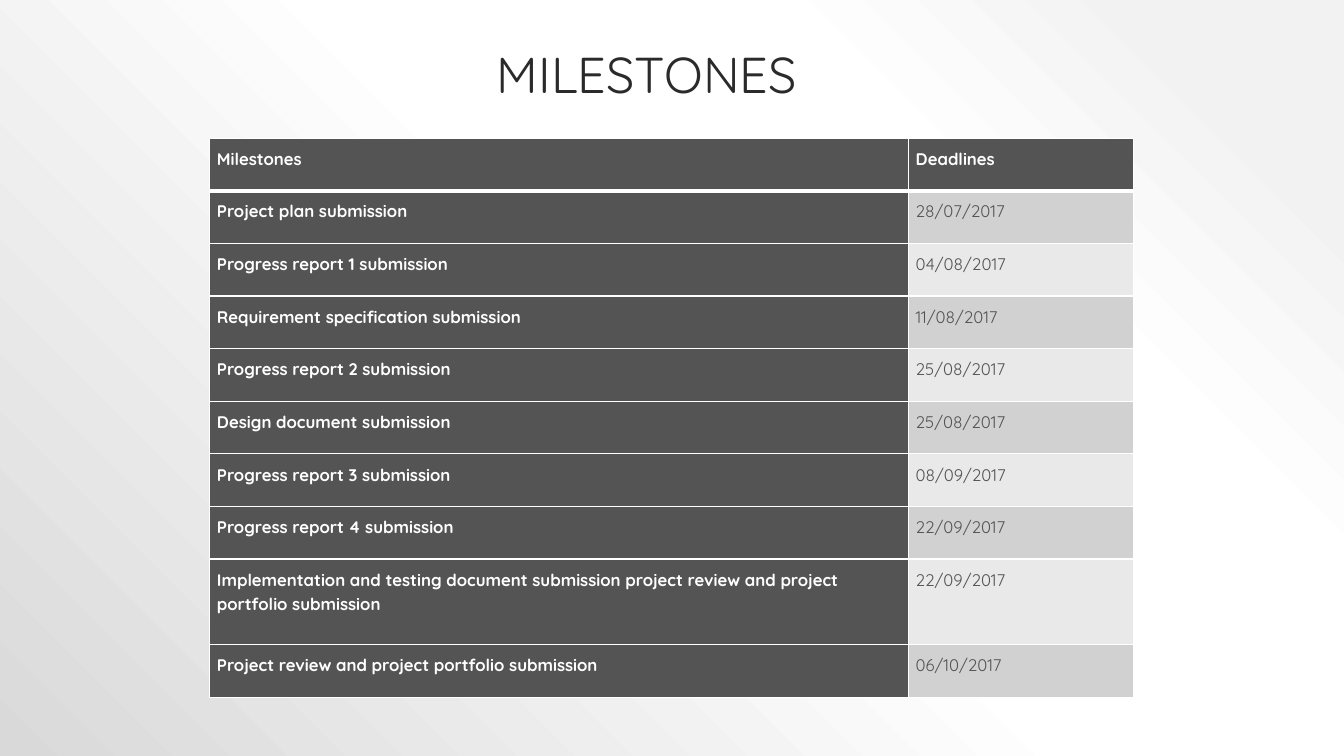
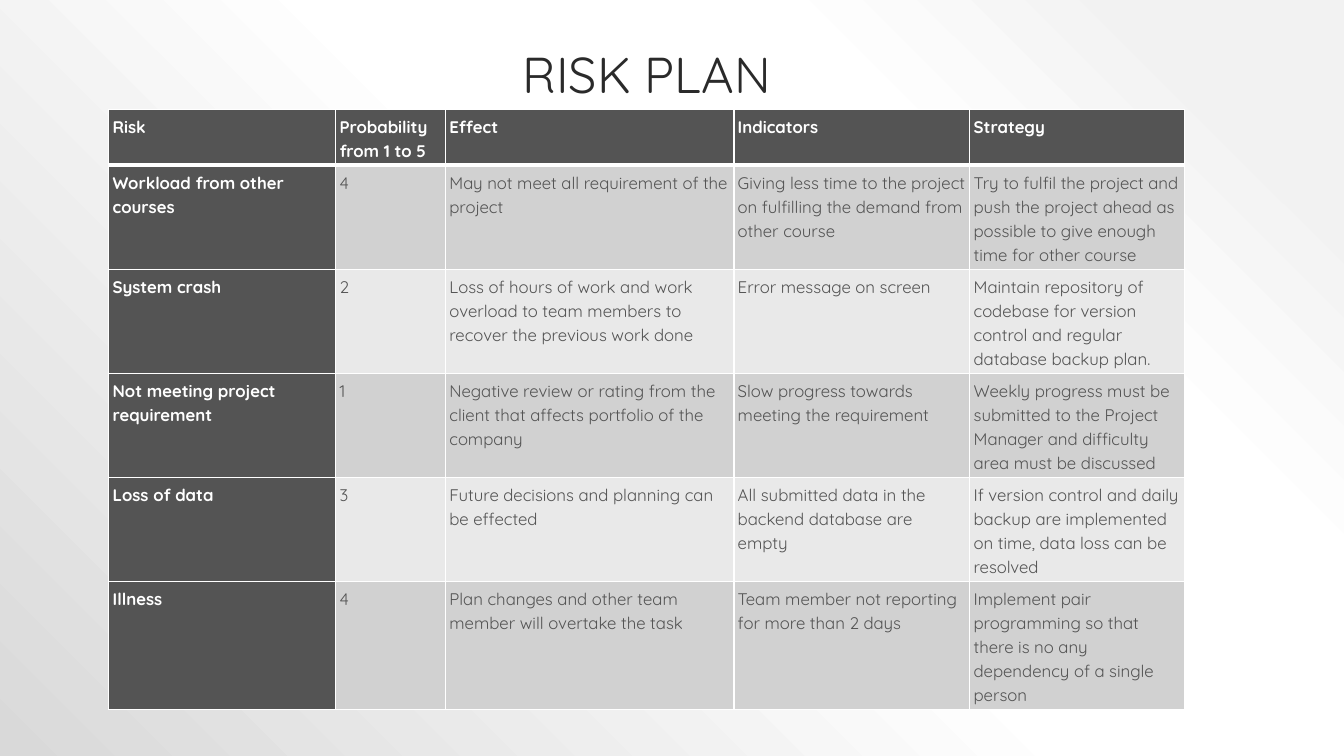
import pptx
import pptx.util
import pptx.dml.color
import pptx.enum.text
import pptx.oxml
import pptx.oxml.ns
from dataclasses import dataclass

Inches = pptx.util.Inches
Pt = pptx.util.Pt


@dataclass(frozen=True)
class Theme:
    font: str = "Quicksand"
    ink: str = "2A2A2A"
    dark: str = "545454"
    white: str = "FFFFFF"
    bands: tuple = ("D1D1D1", "E9E9E9")
    wash: tuple = ((10, "F2F2F2"), (28, "FFFFFF"), (48, "FFFFFF"), (100, "D9D9D9"))
    title: int = 36
    body: int = 12
    thin: int = 1
    thick: int = 3


THEME = Theme()
WIDE, HIGH = 13.33, 7.5
TITLE = (1.08, 0.26, 10.67, 0.83)

SLIDES = [
    {
        "title": "MILESTONES",
        "left": 2.08, "top": 1.37, "inset": 5.2,
        "cols": [6.93, 2.23],
        "rows": [(5.55 - 0.85) / 9] * 8 + [0.85, (5.55 - 0.85) / 9],
        "cells": [
            ("Milestones", "Deadlines"),
            ("Project plan submission", "28/07/2017"),
            ("Progress report 1 submission", "04/08/2017"),
            ("Requirement specification submission", "11/08/2017"),
            ("Progress report 2 submission", "25/08/2017"),
            ("Design document submission", "25/08/2017"),
            ("Progress report 3 submission", "08/09/2017"),
            ("Progress report 4 submission", "22/09/2017"),
            ("Implementation and testing document submission project review "
             "and project portfolio submission", "22/09/2017"),
            ("Project review and project portfolio submission", "06/10/2017"),
        ],
    },
    {
        "title": "RISK PLAN",
        "left": 1.08, "top": 1.09, "inset": 2.7,
        "cols": [2.25, 1.09, 2.86, 2.34, 2.13],
        "rows": [0.55] + [(5.95 - 0.55 - 1.27) / 4] * 4 + [1.27],
        "cells": [
            ("Risk", "Probability from 1 to 5", "Effect", "Indicators", "Strategy"),
            ("Workload from other courses", "4",
             "May not meet all requirement of the project",
             "Giving less time to the project on fulfilling the demand from other course",
             "Try to fulfil the project and push the project ahead as possible "
             "to give enough time for other course"),
            ("System crash", "2",
             "Loss of hours of work and work overload to team members "
             "to recover the previous work done",
             "Error message on screen",
             "Maintain repository of codebase for version control "
             "and regular database backup plan."),
            ("Not meeting project requirement", "1",
             "Negative review or rating from the client that affects portfolio of the company",
             "Slow progress towards meeting the requirement",
             "Weekly progress must be submitted to the Project Manager "
             "and difficulty area must be discussed"),
            ("Loss of data", "3",
             "Future decisions and planning can be effected",
             "All submitted data in the backend database are empty",
             "If version control and daily backup are implemented on time, "
             "data loss can be resolved"),
            ("Illness", "4",
             "Plan changes and other team member will overtake the task",
             "Team member not reporting for more than 2 days",
             "Implement pair programming so that there is no any dependency of a single person"),
        ],
    },
]


def rgb(code):
    return pptx.dml.color.RGBColor.from_string(code)


def paint(master):
    base = master.element.cSld
    for old in base.findall(pptx.oxml.ns.qn("p:bg")):
        base.remove(old)
    stops = "".join(
        f'<a:gs pos="{pos * 1000}"><a:srgbClr val="{code}"/></a:gs>'
        for pos, code in THEME.wash)
    base.insert(0, pptx.oxml.parse_xml(
        f'<p:bg {pptx.oxml.ns.nsdecls("p", "a")}><p:bgPr>'
        f'<a:gradFill rotWithShape="1"><a:gsLst>{stops}</a:gsLst>'
        '<a:path path="circle"><a:fillToRect l="100000" b="100000"/></a:path>'
        '</a:gradFill><a:effectLst/></p:bgPr></p:bg>'))


def write(frame, text, size, code, space, bold=False):
    para = frame.paragraphs[0]
    para.line_spacing = space
    run = para.add_run()
    run.text = text
    run.font.name = THEME.font
    run.font.size = Pt(size)
    run.font.bold = bold
    run.font.color.rgb = rgb(code)
    return para


def add_title(slide, text):
    frame = slide.shapes.add_textbox(*map(Inches, TITLE)).text_frame
    frame.word_wrap = True
    frame.vertical_anchor = pptx.enum.text.MSO_ANCHOR.BOTTOM
    para = write(frame, text, THEME.title, THEME.ink, 0.9)
    para.alignment = pptx.enum.text.PP_ALIGN.CENTER


def edge(cell, row):
    props = cell._tc.get_or_add_tcPr()
    thick = {"T": row == 1, "B": row == 0}
    for spot, side in enumerate("LRTB"):
        width = Pt(THEME.thick if thick.get(side) else THEME.thin)
        props.insert(spot, pptx.oxml.parse_xml(
            f'<a:ln{side} {pptx.oxml.ns.nsdecls("a")} w="{width}"><a:solidFill>'
            f'<a:srgbClr val="{THEME.white}"/></a:solidFill></a:ln{side}>'))


def add_grid(slide, data):
    cols, rows = data["cols"], data["rows"]
    table = slide.shapes.add_table(
        len(rows), len(cols), Inches(data["left"]), Inches(data["top"]),
        Inches(sum(cols)), Inches(sum(rows))).table
    for col, width in zip(table.columns, cols):
        col.width = Inches(width)
    for row, height in zip(table.rows, rows):
        row.height = Inches(height)
    inset = Pt(data["inset"])
    for r, line in enumerate(data["cells"]):
        for c, text in enumerate(line):
            cell = table.cell(r, c)
            head = r == 0 or c == 0
            cell.margin_left = cell.margin_right = inset
            cell.margin_top = cell.margin_bottom = inset
            cell.fill.solid()
            cell.fill.fore_color.rgb = rgb(THEME.dark if head else THEME.bands[(r - 1) % 2])
            edge(cell, r)
            write(cell.text_frame, text, THEME.body,
                  THEME.white if head else THEME.dark, 1.15, head)


def main():
    deck = pptx.Presentation()
    deck.slide_width, deck.slide_height = Inches(WIDE), Inches(HIGH)
    paint(deck.slide_master)
    for data in SLIDES:
        slide = deck.slides.add_slide(deck.slide_layouts[6])
        add_title(slide, data["title"])
        add_grid(slide, data)
    deck.save("out.pptx")


if __name__ == "__main__":
    main()
